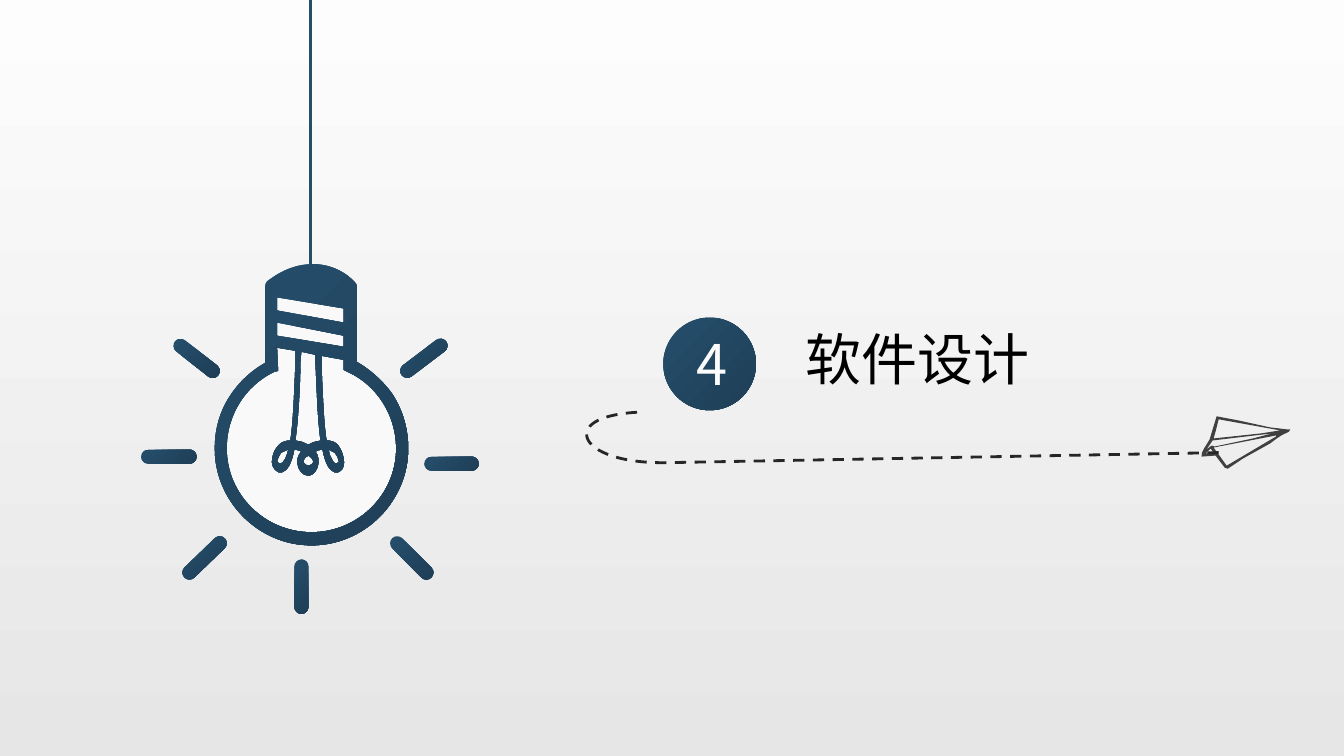
from math import atan2, cos, pi, sin

from lxml import etree
from pptx import Presentation
from pptx.dml.color import RGBColor
from pptx.enum.dml import MSO_LINE_DASH_STYLE as Dash
from pptx.enum.shapes import MSO_CONNECTOR_TYPE as Connector, MSO_SHAPE as Shape
from pptx.enum.text import MSO_AUTO_SIZE as AutoSize, PP_ALIGN as Align
from pptx.oxml.ns import qn
from pptx.util import Inches, Pt

FONT = "Noto Sans CJK JP"
NAVY, DEEP_NAVY = "254E6B", "1F3F57"

# Outlines in hundredths of an inch from the top left of their part
BULB_OUTLINE = (
    "M 96 279 C 149 279 192 235 192 183 C 192 164 187 146 177 130 C 168 117 155 105 141 97 "
    "L 141 22 C 141 20 140 19 139 18 C 138 17 124 0 97 0 C 71 0 53 17 52 17 "
    "C 51 19 50 20 50 22 L 50 98 C 36 106 24 117 15 131 C 5 146 0 164 0 183 "
    "C 0 235 43 279 96 279 Z ")
SOCKET_SLOTS = "M 62 33 L 128 44 L 128 58 L 62 46 Z M 62 58 L 128 71 L 128 82 L 62 71 Z "
FILAMENT_GAPS = (
    "M 95 178 C 94 179 93 179 93 179 C 92 179 91 179 90 178 C 88 176 84 176 80 175 "
    "C 83 155 85 119 85 100 C 85 94 86 89 86 87 L 100 90 C 100 92 100 96 100 100 "
    "C 101 119 102 155 105 175 C 102 176 98 176 95 178 Z "
    "M 98 196 C 98 197 95 200 93 200 C 91 200 88 197 88 196 C 88 194 89 192 93 190 "
    "C 96 192 98 194 98 196 Z "
    "M 73 184 C 72 188 71 191 70 193 C 67 198 65 199 63 197 C 63 197 62 196 62 195 "
    "C 63 192 64 190 66 187 C 68 186 71 185 73 184 Z "
    "M 113 184 C 115 185 117 186 119 187 C 121 190 123 192 123 195 C 124 196 123 197 122 197 "
    "C 121 199 118 198 116 193 C 114 191 114 188 113 184 Z ")
GLASS_INTERIOR = (
    "M 59 107 L 63 106 L 62 83 L 80 86 C 80 89 80 94 80 100 C 79 121 78 157 75 175 "
    "C 71 175 67 176 64 179 C 60 183 58 187 57 193 C 56 198 58 203 61 205 "
    "C 64 208 69 208 74 200 C 76 196 78 190 79 184 C 81 184 84 185 86 186 "
    "C 82 190 82 194 82 197 C 82 203 87 210 93 210 C 98 210 103 203 103 197 "
    "C 103 194 103 190 100 186 C 102 185 104 184 107 184 C 108 190 110 196 112 200 "
    "C 117 208 122 208 125 205 C 128 203 129 198 128 193 C 127 187 125 183 122 179 "
    "C 119 176 115 175 111 175 C 108 157 107 121 106 100 C 106 96 106 93 106 91 "
    "L 128 95 L 128 105 L 132 107 C 161 120 180 150 180 183 C 180 229 142 266 96 266 "
    "C 50 266 12 229 12 183 C 12 150 30 121 59 107 Z")
PAPER_PLANE = (
    "M 89 13 C 88 17 84 16 82 18 C 78 20 73 24 69 27 L 42 42 L 27 52 L 24 51 L 15 39 L 1 40 "
    "C 0 35 6 29 9 23 L 16 0 L 37 4 L 69 11 L 86 13 Z "
    "M 18 3 L 15 15 L 13 22 L 60 17 L 79 14 Z M 13 31 L 26 49 L 75 20 L 75 19 Z "
    "M 12 24 L 6 33 L 11 29 L 14 30 L 52 22 L 71 17 Z M 5 37 L 13 36 L 10 32 Z")
FLIGHT_TRAIL = "M 50 0 C 16 2 0 11 0 22 C 0 36 28 51 80 50 L 630 40"

# Ray ends, in inches from the top left of the bulb
RAYS = [((2.15, 1.98), (2.55, 1.98)), ((0.86, 3.0), (0.86, 3.4)),
        ((-0.66, 1.91), (-0.25, 1.91)), ((-0.34, 0.81), (-0.02, 1.06)),
        ((2.24, 0.81), (1.91, 1.06)), ((0.05, 2.77), (-0.25, 3.06)),
        ((1.81, 2.77), (2.1, 3.06))]
RAY_RADIUS = 0.07
ARC_HANDLE = 0.55


def color(value):
    return RGBColor.from_string(value)


def fill_gradient(shape, start, end, clockwise_angle):
    shape.fill.gradient()
    shape.fill.gradient_angle = 360 - clockwise_angle
    for stop, position, value in zip(shape.fill.gradient_stops, (0, 1), (start, end)):
        stop.position = position
        stop.color.rgb = color(value)
    shape.line.fill.background()


def fill_navy(shape):
    fill_gradient(shape, NAVY, DEEP_NAVY, 45)


def fill_solid(shape, value):
    shape.fill.solid()
    shape.fill.fore_color.rgb = color(value)
    shape.line.fill.background()


def outline_contours(outline):
    """Each contour is a list of steps: one point for a line, three for a curve."""
    tokens = iter(outline.split())
    contours = []
    for command in tokens:
        if command == "Z":
            continue
        count = 3 if command == "C" else 1
        step = [(int(next(tokens)) / 100, int(next(tokens)) / 100) for _ in range(count)]
        if command == "M":
            contours.append([])
        contours[-1].append(step)
    return contours


def ray_contour(start, end):
    """Bar whose ends are half circles, each made of two quarter arcs."""
    angle = atan2(end[1] - start[1], end[0] - start[0])
    contour = []
    for (x, y), first in ((start, angle + pi / 2), (end, angle - pi / 2)):
        def at(turn, handle=0.0):
            return (x + RAY_RADIUS * (cos(turn) - handle * sin(turn)),
                    y + RAY_RADIUS * (sin(turn) + handle * cos(turn)))
        contour.append([at(first)])
        for turn in (first, first + pi / 2):
            after = turn + pi / 2
            contour.append([at(turn, ARC_HANDLE), at(after, -ARC_HANDLE), at(after)])
    return contour


def add_outline(slide, contours, left, top, close=True):
    builder = None
    for contour in contours:
        start, *rest = [(Inches(step[-1][0]), Inches(step[-1][1])) for step in contour]
        if builder is None:
            builder = slide.shapes.build_freeform(*start, scale=1.0)
        else:
            builder.move_to(*start)
        builder.add_line_segments(rest, close=close)
    shape = builder.convert_to_shape(Inches(left), Inches(top))
    shape.shadow.inherit = False
    # Bend the segments that have control points
    shift_x, shift_y = shape.left - Inches(left), shape.top - Inches(top)
    lines = list(shape._element.iter(qn("a:lnTo")))
    steps = [step for contour in contours for step in contour[1:]]
    for line, step in zip(lines, steps):
        if len(step) == 3:
            line.tag = qn("a:cubicBezTo")
            for index, (x, y) in enumerate(step[:2]):
                point = etree.Element(qn("a:pt"), x=str(Inches(x) - shift_x),
                                      y=str(Inches(y) - shift_y))
                line.insert(index, point)
    return shape


def add_text(slide, box, text, value, alignment):
    frame = slide.shapes.add_textbox(*map(Inches, box)).text_frame
    frame.text = text
    frame.word_wrap = True
    frame.auto_size = AutoSize.SHAPE_TO_FIT_TEXT
    paragraph = frame.paragraphs[0]
    paragraph.alignment = alignment
    font = paragraph.runs[0].font
    font.size = Pt(40)
    font.color.rgb = color(value)
    font.name = FONT
    properties = paragraph.runs[0]._r.get_or_add_rPr()
    etree.SubElement(properties, qn("a:ea")).set("typeface", FONT)


def add_preset(slide, kind, left, top, width, height):
    shape = slide.shapes.add_shape(kind, Inches(left), Inches(top), width, height)
    shape.shadow.inherit = False
    return shape


def add_hanging_bulb(slide, left, top):
    # Cord
    cord_x = Inches(left + 0.95)
    cord = slide.shapes.add_connector(Connector.STRAIGHT, cord_x, 0, cord_x, Inches(top))
    cord.line.color.rgb = color(NAVY)
    cord.line.width = Pt(2.25)
    etree.SubElement(cord._element.spPr, qn("a:effectLst"))
    # Glass and frame
    fill_solid(add_outline(slide, outline_contours(BULB_OUTLINE), left, top), "F9F9F9")
    frame = BULB_OUTLINE + SOCKET_SLOTS + FILAMENT_GAPS + GLASS_INTERIOR
    fill_navy(add_outline(slide, outline_contours(frame), left, top))
    # Rays
    for start, end in RAYS:
        fill_navy(add_outline(slide, [ray_contour(start, end)], left, top))


def add_flight(slide, left, top):
    # Plane
    plane = add_outline(slide, outline_contours(PAPER_PLANE), left + 6.09, top + 0.04)
    fill_solid(plane, "404040")
    # Dashed trail
    trail = add_outline(slide, outline_contours(FLIGHT_TRAIL), left, top, close=False)
    trail.fill.background()
    trail.line.color.rgb = color("262626")
    trail.line.width = Pt(2)
    trail.line.dash_style = Dash.DASH


def add_heading(slide, left, top, number, title):
    # Section title
    add_text(slide, (left + 1.31, top + 0.02, 4.22, 0.77), title, "000000", Align.JUSTIFY)
    # Number badge
    fill_navy(add_preset(slide, Shape.OVAL, left, top, Inches(0.92), Inches(0.92)))
    add_text(slide, (left + 0.05, top + 0.07, 0.86, 0.77), number, "FCFCFC", Align.CENTER)


def main():
    presentation = Presentation()
    presentation.slide_width, presentation.slide_height = Inches(40 / 3), Inches(7.5)
    slide = presentation.slides.add_slide(presentation.slide_layouts[6])
    # Backdrop
    backdrop = add_preset(slide, Shape.RECTANGLE, 0, 0,
                          presentation.slide_width, presentation.slide_height)
    fill_gradient(backdrop, "FDFDFD", "E6E6E6", 90)
    add_hanging_bulb(slide, 2.13, 2.62)
    add_flight(slide, 5.82, 4.09)
    add_heading(slide, 6.58, 3.15, "4", "软件设计")
    presentation.save("out.pptx")


if __name__ == "__main__":
    main()
